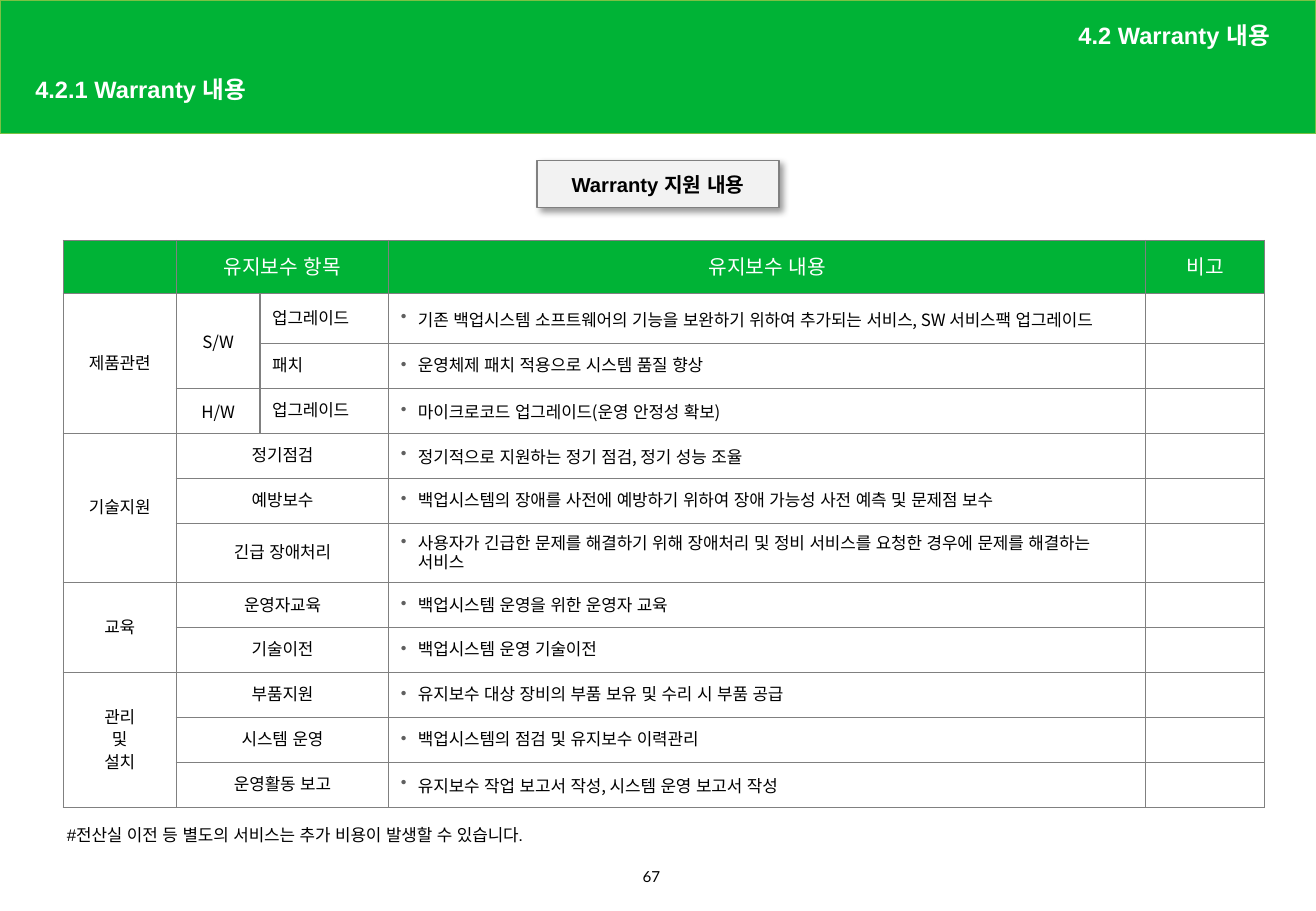
"""Build the warranty support slide with its maintenance table."""
from lxml.etree import SubElement
from pptx import Presentation
from pptx.dml.color import RGBColor
from pptx.enum.shapes import MSO_SHAPE as Shape
from pptx.enum.text import MSO_ANCHOR as Anchor, PP_ALIGN as Align
from pptx.oxml import parse_xml
from pptx.oxml.ns import nsdecls, qn
from pptx.util import Inches, Pt

GREEN, GRAY, WHITE, BLACK = "00B336", "808080", "FFFFFF", "000000"
KOREAN = "Noto Sans CJK KR"


def rgb(value):
    return RGBColor.from_string(value)


def write(frame, text, size=10, font=KOREAN, color=BLACK, bold=False, align=Align.LEFT,
          anchor=Anchor.MIDDLE, line=None, before=0, after=0, bullet=False):
    frame.text = text
    frame.word_wrap = True
    frame.vertical_anchor = anchor
    for index, paragraph in enumerate(frame.paragraphs):
        paragraph.alignment = align
        paragraph.line_spacing = line
        paragraph.space_before = Pt(before if index else 0)
        paragraph.space_after = Pt(after)
        if bullet:
            props = paragraph._p.get_or_add_pPr()
            props.set("marL", str(Inches(0.14)))
            props.set("indent", str(Inches(-0.14)))
            SubElement(SubElement(props, qn("a:buClr")), qn("a:srgbClr"), val="5F5F5F")
            SubElement(props, qn("a:buChar"), char="•")
        for run in paragraph.runs:
            run.font.size = Pt(size)
            run.font.bold = bold
            run.font.name = font
            run.font.color.rgb = rgb(color)
            SubElement(run._r.get_or_add_rPr(), qn("a:ea"), typeface="Arial")
        SubElement(paragraph._p, qn("a:endParaRPr"), sz=str(size * 100))


deck = Presentation()
deck.slide_width, deck.slide_height = Inches(10.83), Inches(7.5)
slide = deck.slides.add_slide(deck.slide_layouts[5])
shapes = slide.shapes

banner = shapes.add_shape(Shape.RECTANGLE, 0, 0, Inches(10.83), Inches(1.1))
banner.shadow.inherit = False
banner.fill.solid()
banner.fill.fore_color.rgb = rgb(GREEN)
banner.line.color.rgb = rgb("7BC144")
banner.line.width = Pt(1)
shapes._spTree.insert(2, banner._element)

heading = shapes.title
heading.left, heading.top = Inches(0.19), Inches(0.59)
heading.width, heading.height = Inches(6.4), Inches(0.31)
write(heading.text_frame, "4.2.1 Warranty 내용", size=14, font="Arial", color=WHITE,
      bold=True, line=0.9)

section = shapes.add_textbox(Inches(5.75), Inches(0.11), Inches(4.8), Inches(0.39))
write(section.text_frame, "4.2 Warranty 내용", size=14, font="Arial", color=WHITE,
      bold=True, align=Align.RIGHT, line=0.9)

caption = shapes.add_shape(Shape.RECTANGLE, Inches(4.42), Inches(1.32), Inches(1.99), Inches(0.39))
caption.fill.solid()
caption.fill.fore_color.rgb = rgb("F2F2F2")
caption.line.color.rgb = rgb(GRAY)
caption.line.width = Pt(0.75)
caption._element.spPr.append(parse_xml(
    f'<a:effectLst {nsdecls("a")}><a:outerShdw blurRad="{Pt(4)}" dist="{Pt(3)}" dir="2700000" '
    f'algn="tl" rotWithShape="0"><a:srgbClr val="{BLACK}"><a:alpha val="40000"/></a:srgbClr>'
    '</a:outerShdw></a:effectLst>'))
write(caption.text_frame, "Warranty 지원 내용", size=12, font="Arial", bold=True,
      align=Align.CENTER, after=2)

rows = [
    ("", "유지보수 항목", "", "유지보수 내용", "비고"),
    ("제품관련", "S/W", "업그레이드",
     "기존 백업시스템 소프트웨어의 기능을 보완하기 위하여 추가되는 서비스, SW 서비스팩 업그레이드", ""),
    ("", "", "패치", "운영체제 패치 적용으로 시스템 품질 향상", ""),
    ("", "H/W", "업그레이드", "마이크로코드 업그레이드(운영 안정성 확보)", ""),
    ("기술지원", "정기점검", "", "정기적으로 지원하는 정기 점검, 정기 성능 조율", ""),
    ("", "예방보수", "",
     "백업시스템의 장애를 사전에 예방하기 위하여 장애 가능성 사전 예측 및 문제점 보수", ""),
    ("", "긴급 장애처리", "",
     "사용자가 긴급한 문제를 해결하기 위해 장애처리 및 정비 서비스를 요청한 경우에 문제를 해결하는 서비스", ""),
    ("교육", "운영자교육", "", "백업시스템 운영을 위한 운영자 교육", ""),
    ("", "기술이전", "", "백업시스템 운영 기술이전", ""),
    ("관리\n및\n설치", "부품지원", "", "유지보수 대상 장비의 부품 보유 및 수리 시 부품 공급", ""),
    ("", "시스템 운영", "", "백업시스템의 점검 및 유지보수 이력관리", ""),
    ("", "운영활동 보고", "", "유지보수 작업 보고서 작성, 시스템 운영 보고서 작성", ""),
]
widths = [0.93, 0.69, 1.06, 6.23, 0.98]
heights = {0: 0.44, 1: 0.41, 6: 0.49}
support = shapes.add_table(len(rows), len(widths), Inches(0.52), Inches(1.98),
                           Inches(9.88), Inches(4.67)).table
for column, width in zip(support.columns, widths):
    column.width = Inches(width)
for r, texts in enumerate(rows):
    support.rows[r].height = Inches(heights.get(r, 0.37))
    for c, text in enumerate(texts):
        cell = support.cell(r, c)
        detail = r > 0 and c == 3
        left = r > 0 and c in (2, 3)
        write(cell.text_frame, text, size=10 if r else 12, color=BLACK if r else WHITE,
              align=Align.LEFT if left else Align.CENTER, before=2, bullet=detail)
        cell.vertical_anchor = Anchor.MIDDLE
        for side in ("lnL", "lnR", "lnT", "lnB"):
            border = SubElement(cell._tc.get_or_add_tcPr(), qn(f"a:{side}"), w=str(Pt(0.75)))
            SubElement(SubElement(border, qn("a:solidFill")), qn("a:srgbClr"), val=GRAY)
        cell.fill.solid()
        cell.fill.fore_color.rgb = rgb(WHITE if r else GREEN)

for first, last in ((1, 3), (4, 6), (7, 8), (9, 11)):
    support.cell(first, 0).merge(support.cell(last, 0))
support.cell(1, 1).merge(support.cell(2, 1))
for r in (0, *range(4, len(rows))):
    support.cell(r, 1).merge(support.cell(r, 2))

footnote = shapes.add_textbox(Inches(0.51), Inches(6.75), Inches(4.91), Inches(0.25)).text_frame
footnote.margin_left = footnote.margin_right = Inches(0.04)
footnote.margin_top = footnote.margin_bottom = Inches(0.04)
write(footnote, "#전산실 이전 등 별도의 서비스는 추가 비용이 발생할 수 있습니다.", font="Arial", after=2)

page_number = shapes.add_textbox(Inches(5.19), Inches(7.09), Inches(0.45), Inches(0.28))
write(page_number.text_frame, "67", size=9, font="Lato", anchor=Anchor.TOP)

deck.save("out.pptx")
